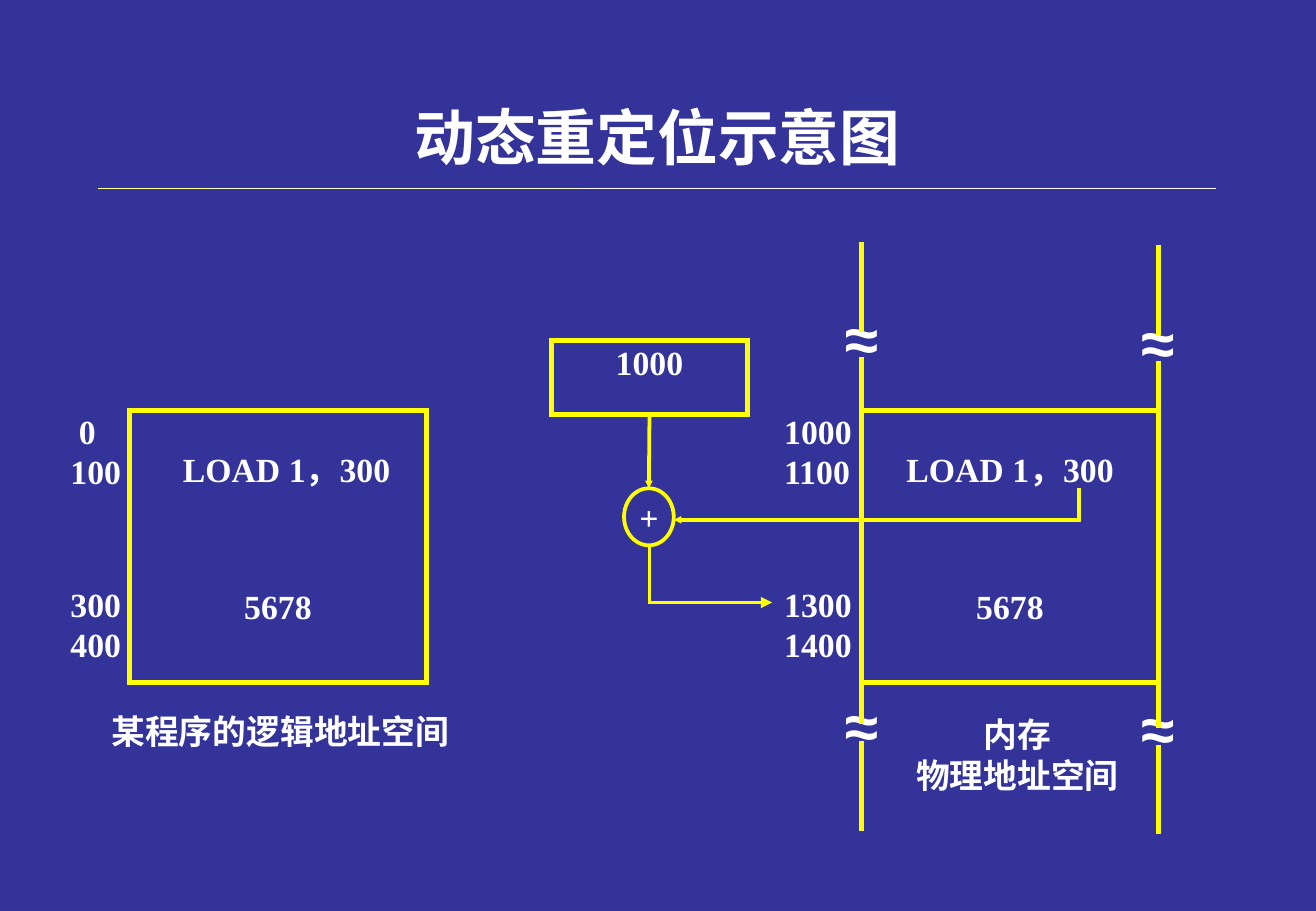
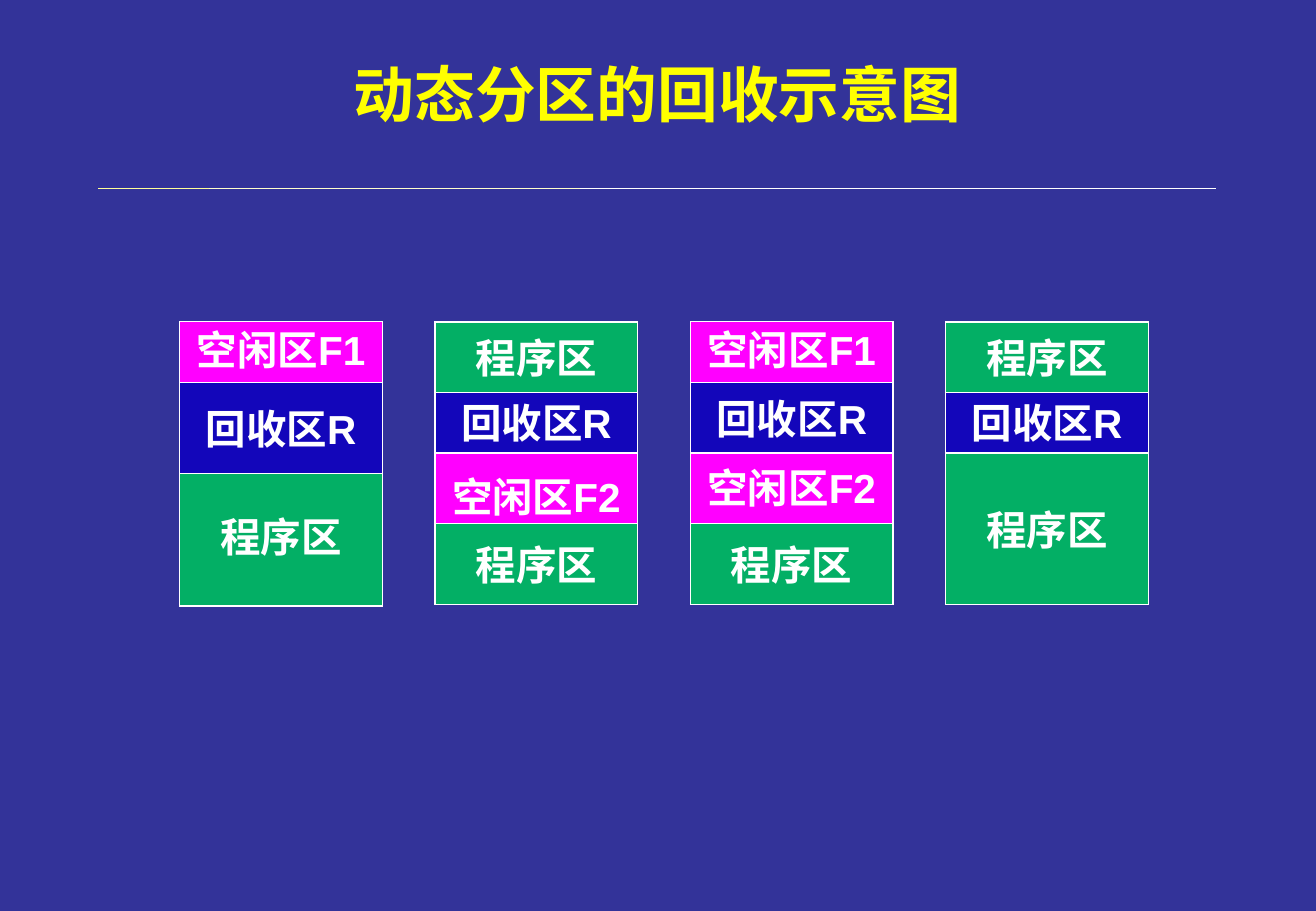
from lxml import etree
from pptx import Presentation
from pptx.dml.color import RGBColor
from pptx.enum.shapes import MSO_CONNECTOR, MSO_SHAPE
from pptx.enum.text import MSO_ANCHOR, PP_ALIGN
from pptx.oxml.ns import qn
from pptx.util import Inches, Pt

NAVY = RGBColor(0x33, 0x33, 0x99)
WHITE = RGBColor(0xFF, 0xFF, 0xFF)
CREAM = RGBColor(0xFF, 0xFF, 0xCC)
STRAW = RGBColor(0xFF, 0xFF, 0x99)
YELLOW = RGBColor(0xFF, 0xFF, 0x00)
PINK = RGBColor(0xFF, 0x00, 0xFF)
GREEN = RGBColor(0x03, 0xAF, 0x65)
BLUE = RGBColor(0x13, 0x06, 0xBA)

SERIF = "Times New Roman"
SANS = "Arial"
HAN = "Noto Sans CJK SC"

LEFT, CENTER = PP_ALIGN.LEFT, PP_ALIGN.CENTER
TOP, MIDDLE = MSO_ANCHOR.TOP, MSO_ANCHOR.MIDDLE
RECT, OVAL = MSO_SHAPE.RECTANGLE, MSO_SHAPE.OVAL
STRAIGHT = MSO_CONNECTOR.STRAIGHT

# Joints of the rule below the title, and the colour of each piece
JOINTS = (1.53, 2.62, 3.7, 4.78, 5.87, 6.95, 7.49, 10.02)
TINTS = (CREAM,) * 3 + (WHITE,) * 4

# Slide 1: rows of a memory box, from its top to the middle of the line
ROWS = (0.17, 0.5, 1.59, 1.92)
CELL_W, CELL_H = 2.44, 2.24
ROW_H = 0.34

# Slide 2: free areas and top inset, cuts, then bands as fill, top and height
BAND_W, STACK_H = 1.67, 2.33
NAMES = {GREEN: "程序区", BLUE: "回收区R"}
STACKS = (
    ("空闲区F1", 0.03, (0.5,),
     ((GREEN, 1.19, 1.15), (BLUE, 0.5, 0.75))),
    ("空闲区F2", 1.24, (0.58, 1.08, 1.66),
     ((GREEN, 1.66, 0.67), (GREEN, 0, 0.58), (BLUE, 0.58, 0.5))),
    ("空闲区F1\n空闲区F2", 0.03, (0.5, 1.08, 1.66),
     ((GREEN, 1.66, 0.67), (BLUE, 0.5, 0.58))),
    (None, 0, (),
     ((GREEN, 0, 0.58), (GREEN, 1.08, 1.25), (BLUE, 0.58, 0.5))),
)


def write(frame, words, size=20, face=SERIF, east=HAN, color=WHITE,
          align=CENTER, anchor=MIDDLE, pitch=None, gap=0, inset=0, wrap=True):
    """Fill a text frame, one paragraph for each line; inset is the top one."""
    frame.word_wrap = wrap
    frame.vertical_anchor = anchor
    frame.margin_left = frame.margin_right = frame.margin_bottom = 0
    frame.margin_top = Inches(inset)
    for i, words_line in enumerate(words.split("\n")):
        para = frame.paragraphs[0] if i == 0 else frame.add_paragraph()
        para.alignment = align
        if i and gap:
            para.space_before = Pt(gap)
        if pitch:
            para.line_spacing = Pt(pitch)
        run = para.add_run()
        run.text = words_line
        font = run.font
        font.size, font.bold, font.name = Pt(size), True, face
        font.color.rgb = color
        etree.SubElement(font._element, qn("a:ea")).set("typeface", east)


def label(slide, box, words, **style):
    write(slide.shapes.add_textbox(*map(Inches, box)).text_frame, words, **style)


def trim(shape, width, color=YELLOW):
    """Set an outline with sharp corners."""
    shape.line.color.rgb = color
    shape.line.width = Pt(width)
    miter = etree.SubElement(shape.line._get_or_add_ln(), qn("a:miter"))
    miter.set("lim", "800000")


def block(slide, kind, box, fill=None, edge=YELLOW, width=3):
    shape = slide.shapes.add_shape(kind, *map(Inches, box))
    shape.shadow.inherit = False
    if fill is None:
        shape.fill.background()
    else:
        shape.fill.solid()
        shape.fill.fore_color.rgb = fill
    trim(shape, width, edge)
    return shape


def point(shape, size="med"):
    """Put an arrowhead at the end of a line."""
    tip = etree.SubElement(shape.line._get_or_add_ln(), qn("a:tailEnd"))
    tip.set("type", "triangle")
    tip.set("w", size)
    tip.set("len", size)


def line(slide, start, end, color=YELLOW, width=3):
    link = slide.shapes.add_connector(STRAIGHT, *map(Inches, start + end))
    link.line.color.rgb = color
    link.line.width = Pt(width)
    etree.SubElement(link._element.spPr, qn("a:effectLst"))
    return link


def bend(slide, *spots, tip="med"):
    """Draw an arrow along several points."""
    first, *rest = [tuple(map(Inches, spot)) for spot in spots]
    pen = slide.shapes.build_freeform(*first)
    pen.add_line_segments(rest, close=False)
    shape = pen.convert_to_shape()
    shape.shadow.inherit = False
    shape.fill.background()
    trim(shape, 2.25)
    point(shape, tip)


def page(deck, title, box, color):
    """Add a slide with its title and the rule below it."""
    slide = deck.slides.add_slide(deck.slide_layouts[6])
    pieces = [*zip(JOINTS, JOINTS[1:], TINTS), (0.81, 1.72, STRAW)]
    for x1, x2, tint in pieces:
        line(slide, (x1, 1.55), (x2, 1.55), tint, 0.75)
    label(slide, box, title, size=36, face=HAN, color=color)
    return slide


def space(slide, x, y, marks, shift=0):
    """Draw a memory box with the addresses on its left."""
    block(slide, RECT, (x, y, CELL_W, CELL_H))

    def row(left, mid, wide, words, align):
        label(slide, (left, y + mid - ROW_H / 2, wide, ROW_H), words,
              align=align, pitch=24)

    for mark, mid in zip(marks, ROWS):
        nudge = 0.07 if mark == "0" else 0
        left = x - (0.49 if len(mark) < 4 else 0.64)
        row(left + nudge, mid, 0.69, mark, LEFT)
    row(x + shift, 0.48, CELL_W, "LOAD 1，300", CENTER)
    row(x, 1.61, CELL_W, "5678", CENTER)


def rail(slide, x, y):
    """Draw a side of the memory, broken above and below the box."""
    for gap in (0.49, 3.67):
        label(slide, (x - 0.14, y + gap, 0.6, 0.6), "≈", size=36,
              face=SANS, east=SANS, align=LEFT, anchor=TOP)
    for start, end in ((0.95, 3.97), (0, 0.74), (4.11, 4.85)):
        line(slide, (x, y + start), (x, y + end))


def adder(slide, x, y):
    """Draw the base register, the adder and their arrows."""
    base = block(slide, RECT, (x, y, 1.62, 0.61))
    write(base.text_frame, "1000", anchor=TOP, pitch=24, inset=0.01)
    mid = x + 0.81
    plus = block(slide, OVAL, (mid - 0.21, y + 1.22, 0.41, 0.47), width=2.25)
    write(plus.text_frame, "+", pitch=24)
    bend(slide, (mid, y + 1.69), (mid, y + 2.16), (mid + 1.01, y + 2.16))
    link = line(slide, (mid, y + 0.61), (mid, y + 1.22), width=2.25)
    link.begin_connect(base, 2)
    link.end_connect(plus, 0)
    point(link, "sm")
    bend(slide, (mid + 3.54, y + 1.22), (mid + 3.54, y + 1.48),
         (mid + 0.2, y + 1.48), tip="sm")


def relocate(deck):
    slide = page(deck, "动态重定位示意图", (0.81, 0.54, 9.21, 1.17), WHITE)
    space(slide, 7.1, 3.38, ("1000", "1100", "1300", "1400"))
    rail(slide, 7.1, 1.99)
    rail(slide, 7.1 + CELL_W, 2.02)
    label(slide, (7.42, 5.88, 1.92, 0.7), "内存\n物理地址空间",
          anchor=TOP, pitch=24)
    space(slide, 1.07, 3.38, ("0", "100", "300", "400"), shift=0.07)
    label(slide, (0.63, 5.85, 3.36, 0.4), "某程序的逻辑地址空间",
          anchor=TOP, pitch=24)
    adder(slide, 4.54, 2.8)


def stack(slide, x, y, free, inset, cuts, bands):
    """Draw a memory column: free areas behind, used bands on top."""
    column = block(slide, RECT, (x, y, BAND_W, STACK_H),
                   PINK if free else None, WHITE, 0.75)
    if free:
        write(column.text_frame, free, size=24, face=SANS, anchor=TOP,
              gap=53, inset=inset)
    for cut in cuts:
        line(slide, (x, y + cut), (x + BAND_W, y + cut), WHITE, 0.75)
    for fill, top, high in bands:
        band = block(slide, RECT, (x, y + top, BAND_W, high), fill, WHITE, 0.75)
        write(band.text_frame, NAMES[fill], size=24, face=SANS, wrap=False)


def reclaim(deck):
    slide = page(deck, "动态分区的回收示意图", (0.81, 0.23, 9.21, 1.08), YELLOW)
    first, last = 1.48, 7.79
    step = (last - first) / (len(STACKS) - 1)
    for i, parts in enumerate(STACKS):
        stack(slide, first + i * step, 2.65, *parts)


def main():
    deck = Presentation()
    deck.slide_width, deck.slide_height = Inches(10.84), Inches(7.5)
    back = deck.slide_master.background.fill
    back.solid()
    back.fore_color.rgb = NAVY
    relocate(deck)
    reclaim(deck)
    deck.save("out.pptx")


if __name__ == "__main__":
    main()
